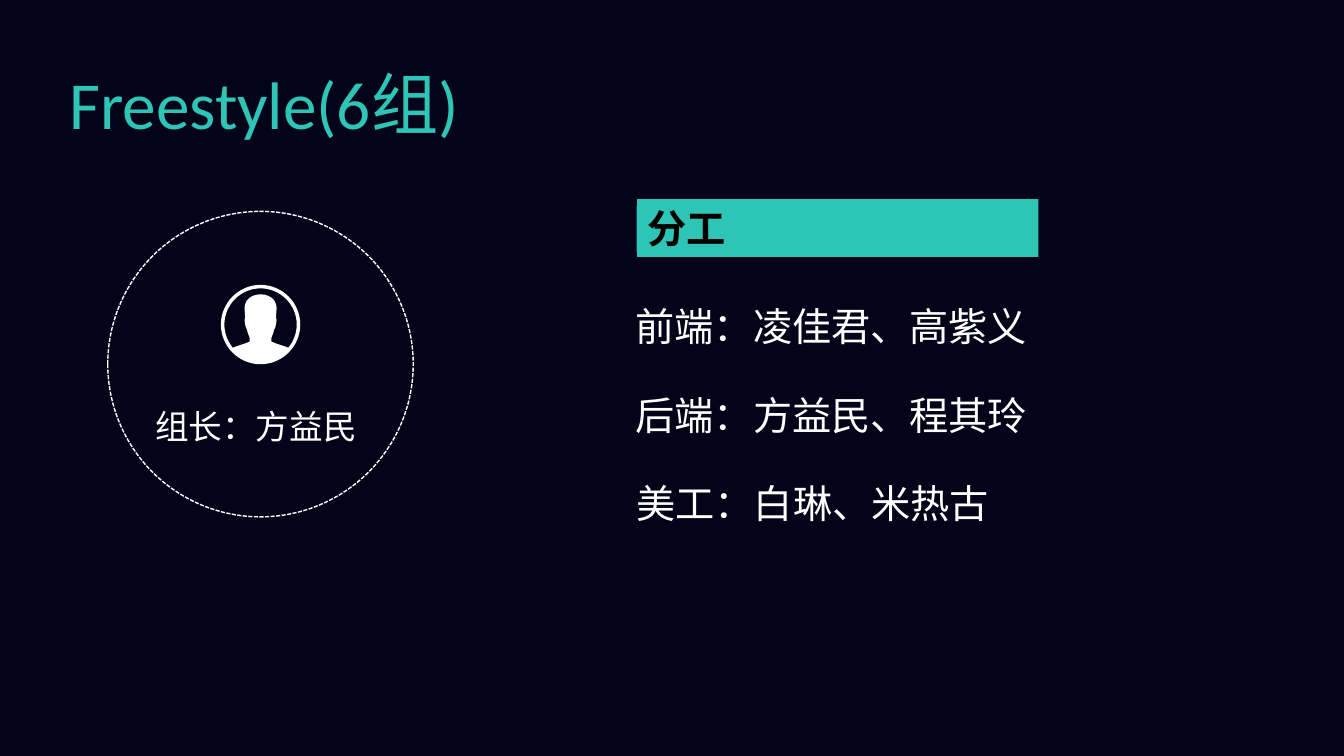
from dataclasses import dataclass

import pptx
import pptx.dml.color
import pptx.enum.dml
import pptx.enum.shapes
import pptx.enum.text
import pptx.oxml.ns
import pptx.util
from lxml import etree

Pt = pptx.util.Pt
qn = pptx.oxml.ns.qn
Color = pptx.dml.color.RGBColor.from_string
Shape = pptx.enum.shapes.MSO_SHAPE


@dataclass(frozen=True)
class Theme:
    """Colours, fonts and type sizes of the slide."""
    night: str = "030419"
    teal: str = "2EC4B6"
    white: str = "FFFFFF"
    black: str = "000000"
    latin: str = "Calibri"
    chinese: str = "Noto Sans CJK SC"
    title: int = 48
    body: int = 28
    leader: int = 24


THEME = Theme()


def write(frame, text, size, color, font=THEME.chinese, bold=None, wrap=True):
    """Put one left-aligned paragraph into a text frame."""
    frame.word_wrap = wrap
    frame.auto_size = pptx.enum.text.MSO_AUTO_SIZE.SHAPE_TO_FIT_TEXT
    frame.vertical_anchor = pptx.enum.text.MSO_ANCHOR.TOP
    paragraph = frame.paragraphs[0]
    paragraph.text = text
    paragraph.alignment = pptx.enum.text.PP_ALIGN.LEFT
    paragraph.font.size = Pt(size)
    paragraph.font.bold = bold
    paragraph.font.name = font
    paragraph.font.color.rgb = Color(color)
    defaults = paragraph._p.pPr.find(qn("a:defRPr"))
    etree.SubElement(defaults, qn("a:ea"), typeface=THEME.chinese)


def add_text(slide, box, text, size, color, **style):
    """Add a text box at the given box."""
    label = slide.shapes.add_textbox(*map(Pt, box))
    write(label.text_frame, text, size, color, **style)


def paint(shape, color):
    """Give a shape a flat fill without outline or shadow."""
    shape.shadow.inherit = False
    shape.fill.solid()
    shape.fill.fore_color.rgb = Color(color)
    shape.line.fill.background()


def mirror(half):
    """Close a right-hand outline with its reflection."""
    return half + [(-x, y) for x, y in reversed(half[:-1])]


def half_circle(radius):
    """Return the right half of a circle as curve points, bottom to top."""
    handle = radius * 0.55
    return [(0, radius), (handle, radius), (radius, handle), (radius, 0),
            (radius, -handle), (handle, -radius), (0, -radius)]


def bend(shape):
    """Turn each three line segments of a freeform into one curve."""
    lines = list(shape._element.iter(qn("a:lnTo")))
    for first, second, third in zip(lines[::3], lines[1::3], lines[2::3]):
        curve = etree.Element(qn("a:cubicBezTo"))
        first.addprevious(curve)
        for line in (first, second, third):
            curve.append(line[0])
            line.getparent().remove(line)


def add_avatar(slide, box):
    """Draw a round portrait icon: a ring around a head and shoulders."""
    left, top, size = box
    radius = size / 2
    inner = radius - 2.5
    profile = [(0, -21.6),
               (4, -21.6), (7.6, -20), (9.7, -17.3),
               (11.2, -15), (11.6, -12), (11.4, -10.8),
               (11.2, -8), (11, -6), (11, -5),
               (11.5, -4), (11.6, -3), (11.2, -1.4),
               (10.8, 1.5), (10.3, 3), (9.7, 3.6),
               (9.4, 5), (9, 6.8), (8.3, 8),
               (7.8, 9), (7.5, 10), (7.8, 12.2),
               (11, 13.8), (17, 15.2), (19.8, 16.6),
               (23.6, 12), (inner, 6.2)]
    rim, opening = [[(left + radius + x, top + radius + y) for x, y in mirror(half)]
                    for half in (half_circle(radius), profile + half_circle(inner)[3:])]
    grain = 100
    rim, opening = [[(x * grain, y * grain) for x, y in outline] for outline in (rim, opening)]
    builder = slide.shapes.build_freeform(*rim[0], scale=Pt(1) / grain)
    builder.add_line_segments(rim[1:])
    builder.move_to(*opening[0])
    builder.add_line_segments(opening[1:])
    portrait = builder.convert_to_shape()
    bend(portrait)
    paint(portrait, THEME.white)


def add_leader(slide, box):
    """Draw the dashed circle with the group leader."""
    left, top, size = box
    circle = slide.shapes.add_shape(Shape.OVAL, Pt(left), Pt(top), Pt(size), Pt(size))
    circle.shadow.inherit = False
    circle.fill.background()
    circle.line.color.rgb = Color(THEME.white)
    circle.line.width = Pt(1)
    circle.line.dash_style = pptx.enum.dml.MSO_LINE.SQUARE_DOT
    add_avatar(slide, (left + 80.8, top + 52.5, 56.7))
    add_text(slide, (left + 26.7, top + 135.4, 164.2, 36), "组长：方益民",
             THEME.leader, THEME.white)


def add_duties(slide, box):
    """Draw the duties heading and one line for each role."""
    left, top, width = box
    heading = slide.shapes.add_group_shape()
    for x, y, span, height in ((7.8, 5, 255, 32.4), (8.2, 0, 286.6, 41.2)):
        banner = heading.shapes.add_shape(Shape.RECTANGLE, Pt(left + x), Pt(top + y),
                                          Pt(span), Pt(height))
        paint(banner, THEME.teal)
    write(banner.text_frame, "分工", THEME.body, THEME.black, bold=True)
    duties = [("前端：凌佳君、高紫义", 0, width, True),
              ("后端：方益民、程其玲", 0, width, True),
              ("美工：白琳、米热古", 0.7, 269.3, False)]
    for row, (duty, indent, span, wrap) in enumerate(duties):
        add_text(slide, (left + indent, top + 70 + row * 63.3, span, 41.2), duty,
                 THEME.body, THEME.white, wrap=wrap)


def main():
    """Build and save the slide."""
    deck = pptx.Presentation()
    deck.slide_width, deck.slide_height = Pt(960), Pt(540)
    slide = deck.slides.add_slide(deck.slide_layouts[6])
    slide.background.fill.solid()
    slide.background.fill.fore_color.rgb = Color(THEME.night)
    add_leader(slide, (77, 151, 218.2))
    add_duties(slide, (446.9, 142.3, 396.7))
    add_text(slide, (42.5, 41, 412.6, 65.4), "Freestyle(6组)", THEME.title, THEME.teal,
             font=THEME.latin)
    deck.save("out.pptx")


if __name__ == "__main__":
    main()
